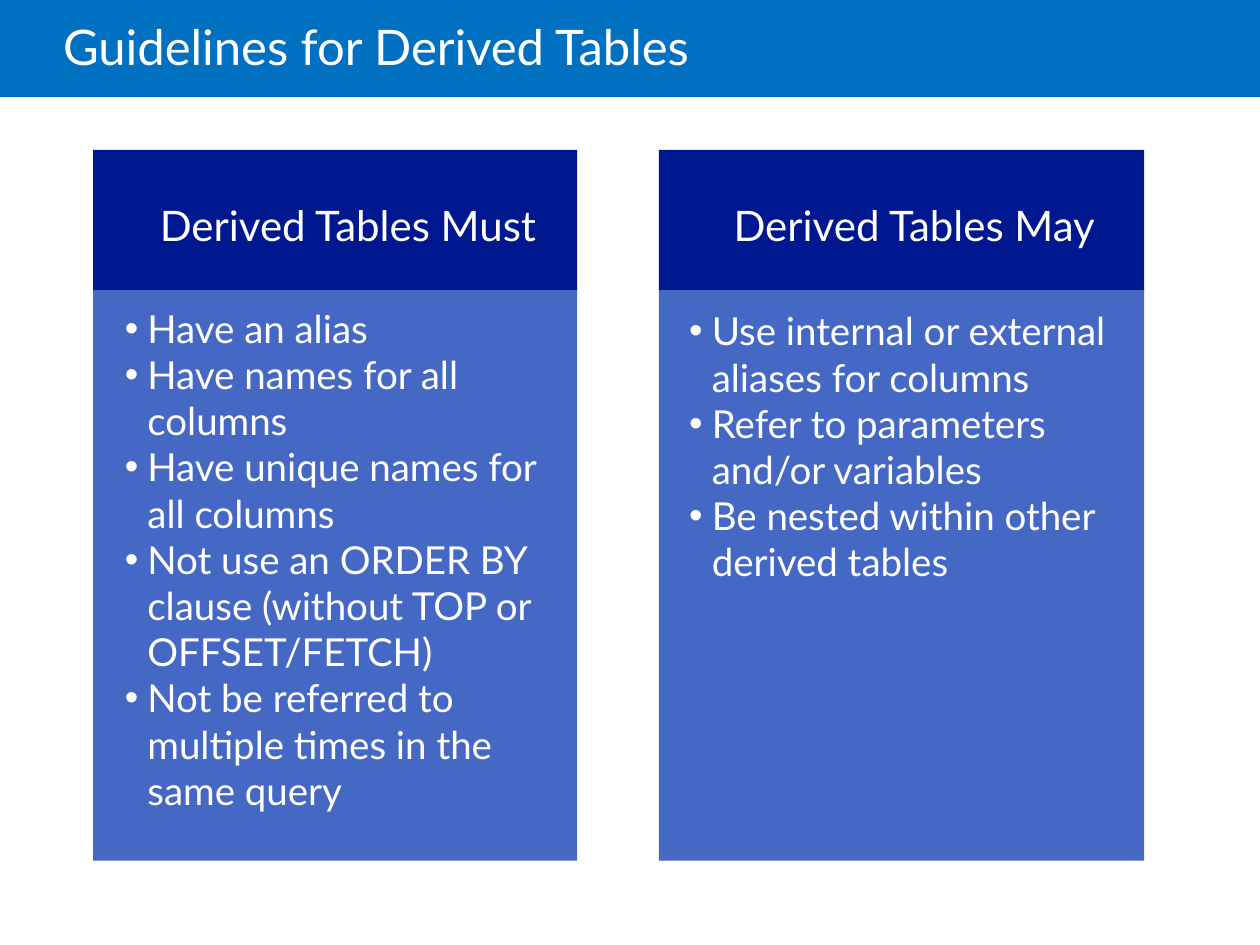
from lxml import etree
from pptx import Presentation
from pptx.dml.color import RGBColor
from pptx.enum.shapes import MSO_SHAPE as SHAPE
from pptx.enum.text import MSO_ANCHOR as ANCHOR, MSO_AUTO_SIZE as AUTO, PP_ALIGN as ALIGN
from pptx.oxml.ns import qn
from pptx.util import Inches, Pt

BANNER_BLUE = RGBColor(0x00, 0x70, 0xC0)
HEADER_NAVY = RGBColor(0x00, 0x18, 0x8F)
PANEL_BLUE = RGBColor(0x46, 0x68, 0xC5)
WHITE = RGBColor(0xFF, 0xFF, 0xFF)
FONT = "Lato"

# Each column: left, width, list left, list top, list width, heading, items
COLUMNS = [
    (0.74, 3.84, 0.99, 2.42, 3.41, "Derived Tables Must", [
        "Have an alias",
        "Have names for all columns",
        "Have unique names for all columns",
        "Not use an ORDER BY clause (without TOP or OFFSET/FETCH)",
        "Not be referred to multiple times in the same query",
    ]),
    (5.23, 3.85, 5.47, 2.44, 3.43, "Derived Tables May", [
        "Use internal or external aliases for columns",
        "Refer to parameters and/or variables",
        "Be nested within other derived tables",
    ]),
]


def format_frame(tf, insets, anchor):
    left, top, right, bottom = map(Inches, insets)
    values = {"margin_left": left, "margin_top": top, "margin_right": right,
              "margin_bottom": bottom, "vertical_anchor": anchor,
              "word_wrap": True, "auto_size": AUTO.NONE}
    for name, value in values.items():
        setattr(tf, name, value)


def add_text(p, text, size):
    r = p.add_run()
    r.text = text
    for name, value in {"name": FONT, "size": Pt(size), "bold": False}.items():
        setattr(r.font, name, value)
    r.font.color.rgb = WHITE


def add_block(s, box, color, kind=SHAPE.RECTANGLE):
    sp = s.shapes.add_shape(kind, *map(Inches, box))
    sp.shadow.inherit = False
    sp.fill.solid()
    sp.fill.fore_color.rgb = color
    sp.line.fill.background()
    return sp


def add_banner(s):
    sp = add_block(s, (0, 0, 10, 0.77), BANNER_BLUE)
    s.shapes._spTree.insert(2, sp._element)  # behind the title


def set_title(s, text):
    title = s.shapes.title
    place = {"left": 0.5, "top": 0, "width": 8.5, "height": 0.81}
    for name, value in place.items():
        setattr(title, name, Inches(value))
    format_frame(title.text_frame, (0, 0.05, 0.1, 0.05), ANCHOR.MIDDLE)
    p = title.text_frame.paragraphs[0]
    p.alignment = ALIGN.LEFT
    p.line_spacing = 0.85
    add_text(p, text, 28)


def add_heading(s, box, text):
    tf = add_block(s, box, HEADER_NAVY).text_frame
    format_frame(tf, (0.3, 0.12, 0.1, 0.05), ANCHOR.MIDDLE)
    p = tf.paragraphs[0]
    p.alignment = ALIGN.CENTER
    add_text(p, text, 24)


def add_bullets(s, box, items):
    tf = s.shapes.add_textbox(*map(Inches, box)).text_frame
    format_frame(tf, (0, 0, 0, 0), ANCHOR.TOP)
    for i, item in enumerate(items):
        p = tf.add_paragraph() if i else tf.paragraphs[0]
        pPr = p._p.get_or_add_pPr()
        pPr.set("marL", str(Inches(0.18)))
        pPr.set("indent", str(-Inches(0.18)))
        etree.SubElement(pPr, qn("a:buFont")).set("typeface", "Arial")
        etree.SubElement(pPr, qn("a:buChar")).set("char", "•")
        add_text(p, item, 22)


def add_column(s, left, width, list_left, list_top, list_width, heading, items):
    panel = add_block(s, (left, 2.29, width, 4.54), PANEL_BLUE,
                      SHAPE.ROUNDED_RECTANGLE)
    panel.adjustments[0] = 0
    add_heading(s, (left, 1.19, width, 1.11), heading)
    add_bullets(s, (list_left, list_top, list_width, 4.16), items)


def main():
    prs = Presentation()
    prs.slide_width, prs.slide_height = Inches(10), Inches(7.5)
    s = prs.slides.add_slide(prs.slide_layouts[5])
    # Title band
    add_banner(s)
    set_title(s, "Guidelines for Derived Tables")
    # Two columns of rules
    for column in COLUMNS:
        add_column(s, *column)
    prs.save("out.pptx")


if __name__ == "__main__":
    main()
